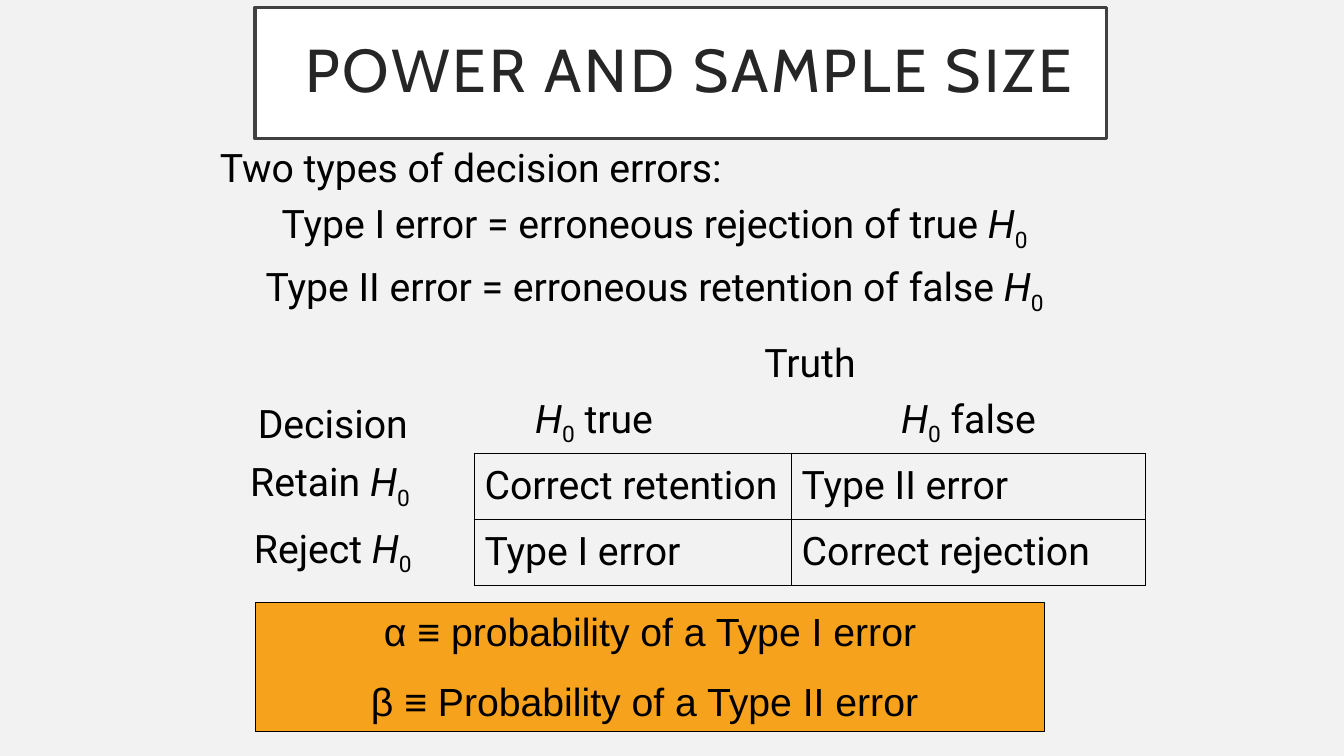
from dataclasses import dataclass
from itertools import product

from lxml.etree import SubElement
from pptx import Presentation
from pptx.dml.color import RGBColor
from pptx.enum.shapes import MSO_SHAPE
from pptx.enum.text import MSO_ANCHOR, PP_ALIGN
from pptx.oxml.ns import qn
from pptx.util import Emu, Pt

EMU_PER_PX = 9525
BLACK = RGBColor(0x00, 0x00, 0x00)
WHITE = RGBColor(0xFF, 0xFF, 0xFF)
BACKGROUND = RGBColor(0xF2, 0xF2, 0xF2)
TITLE_TEXT = RGBColor(0x26, 0x26, 0x26)
TITLE_BORDER = RGBColor(0x40, 0x40, 0x40)
ORANGE = RGBColor(0xF6, 0xA2, 0x1D)


@dataclass(frozen=True)
class Piece:
    text: str
    italic: bool = False
    subscript: bool = False


@dataclass(frozen=True)
class Entry:
    """One filled cell of the decision table."""
    row: int
    column: int
    pieces: tuple[Piece, ...]
    align: PP_ALIGN = PP_ALIGN.CENTER
    anchor: MSO_ANCHOR = MSO_ANCHOR.MIDDLE
    indent: int = 0


@dataclass(frozen=True)
class Panel:
    left: int
    top: int
    width: int
    height: int
    fill: RGBColor
    border: RGBColor
    border_pt: float


H0 = (Piece("H", italic=True), Piece("0", subscript=True))
TITLE = Panel(243, 7, 811, 125, WHITE, TITLE_BORDER, 2.5)
PROBABILITIES = Panel(243, 574, 752, 123, ORANGE, BLACK, 0.75)
COLUMN_WIDTHS = (270, 302, 337)
ROW_HEIGHTS = (55, 55, 63, 63)
ENTRIES = (
    Entry(0, 1, (Piece("Truth"),), anchor=MSO_ANCHOR.BOTTOM),
    Entry(1, 0, (Piece("Decision"),), anchor=MSO_ANCHOR.BOTTOM),
    Entry(1, 1, (*H0, Piece(" true")), PP_ALIGN.LEFT, indent=48),
    Entry(1, 2, (*H0, Piece(" false"))),
    Entry(2, 0, (Piece("Retain "), H0[0], Piece("0 ", subscript=True))),
    Entry(2, 1, (Piece("Correct retention"),), PP_ALIGN.LEFT),
    Entry(2, 2, (Piece("Type II error"),), PP_ALIGN.LEFT),
    Entry(3, 0, (Piece("Reject "), *H0)),
    Entry(3, 1, (Piece("Type I error"),), PP_ALIGN.LEFT),
    Entry(3, 2, (Piece("Correct rejection"),), PP_ALIGN.LEFT),
)


def px(length: int) -> Emu:
    return Emu(length * EMU_PER_PX)


def write(paragraph, *pieces: Piece, font: str = "Roboto", size: float = 28,
          color: RGBColor = BLACK, align: PP_ALIGN = PP_ALIGN.LEFT,
          before: float = 0, line_spacing: float = 1.0, indent: int = 0,
          tracking: float = 0) -> None:
    paragraph.alignment = align
    paragraph.space_before = Pt(before)
    paragraph.line_spacing = line_spacing
    if indent:
        properties = paragraph._p.get_or_add_pPr()
        properties.set("marL", str(px(indent)))
        properties.set("indent", "0")
    for piece in pieces:
        run = paragraph.add_run()
        run.text = piece.text
        run.font.name = font
        run.font.size = Pt(size)
        run.font.color.rgb = color
        run.font.italic = piece.italic
        if piece.subscript:
            run._r.get_or_add_rPr().set("baseline", "-25000")
        if tracking:
            run._r.get_or_add_rPr().set("spc", str(round(tracking * 100)))


def add_panel(slide, panel: Panel, anchor: MSO_ANCHOR):
    """Draw a bordered rectangle and return its text frame."""
    shape = slide.shapes.add_shape(MSO_SHAPE.RECTANGLE, px(panel.left), px(panel.top),
                                   px(panel.width), px(panel.height))
    shape.shadow.inherit = False
    shape.fill.solid()
    shape.fill.fore_color.rgb = panel.fill
    shape.line.color.rgb = panel.border
    shape.line.width = Pt(panel.border_pt)
    shape.text_frame.word_wrap = True
    shape.text_frame.vertical_anchor = anchor
    return shape.text_frame


def set_borders(cell, visible: dict[str, bool]) -> None:
    properties = cell._tc.get_or_add_tcPr()
    for side, shown in visible.items():
        line = SubElement(properties, qn(f"a:ln{side}"), w=str(Pt(1)))
        if shown:
            fill = SubElement(line, qn("a:solidFill"))
            SubElement(fill, qn("a:srgbClr"), val=str(BLACK))
        else:
            SubElement(line, qn("a:noFill"))


def add_title(slide) -> None:
    frame = add_panel(slide, TITLE, MSO_ANCHOR.MIDDLE)
    frame.margin_left = frame.margin_right = px(19)
    frame.margin_top = frame.margin_bottom = px(19)
    write(frame.paragraphs[0], Piece(" POWER AND SAMPLE SIZE"), font="Cabin", size=43.2,
          color=TITLE_TEXT, align=PP_ALIGN.CENTER, line_spacing=0.9, tracking=2)


def add_decision_table(slide) -> None:
    table = slide.shapes.add_table(len(ROW_HEIGHTS), len(COLUMN_WIDTHS), px(182), px(318),
                                   px(sum(COLUMN_WIDTHS)), px(sum(ROW_HEIGHTS))).table
    table.first_row = table.horz_banding = False
    for column, width in zip(table.columns, COLUMN_WIDTHS):
        column.width = px(width)
    for row, height in zip(table.rows, ROW_HEIGHTS):
        row.height = px(height)
    for row, column in product(range(len(ROW_HEIGHTS)), range(len(COLUMN_WIDTHS))):
        cell = table.cell(row, column)
        outcome_row, outcome_column = row >= 2, column >= 1
        set_borders(cell, {"L": outcome_row and outcome_column,
                           "R": outcome_row,
                           "T": outcome_row and outcome_column,
                           "B": row >= 1 and outcome_column})
        cell.fill.background()
    table.cell(0, 1).merge(table.cell(0, 2))
    for entry in ENTRIES:
        cell = table.cell(entry.row, entry.column)
        cell.vertical_anchor = entry.anchor
        write(cell.text_frame.paragraphs[0], *entry.pieces, align=entry.align,
              indent=entry.indent)


def add_probabilities(slide) -> None:
    frame = add_panel(slide, PROBABILITIES, MSO_ANCHOR.TOP)
    write(frame.paragraphs[0], Piece("α ≡ probability of a Type I error"),
          font="Arial", align=PP_ALIGN.CENTER)
    write(frame.add_paragraph(), Piece("β ≡ Probability of a Type II error "),
          font="Arial", align=PP_ALIGN.CENTER, before=16)


def add_error_types(slide) -> None:
    frame = slide.shapes.add_textbox(px(200), px(132), px(847), px(162)).text_frame
    frame.word_wrap = True
    write(frame.paragraphs[0], Piece("Two types of decision errors:"))
    for definition in ("Type I error = erroneous rejection of true ",
                       "Type II error = erroneous retention of false "):
        write(frame.add_paragraph(), Piece(definition), *H0,
              align=PP_ALIGN.CENTER, before=6.5)


def main() -> None:
    presentation = Presentation()
    presentation.slide_width, presentation.slide_height = px(1280), px(720)
    slide = presentation.slides.add_slide(presentation.slide_layouts[6])
    slide.background.fill.solid()
    slide.background.fill.fore_color.rgb = BACKGROUND
    add_title(slide)
    add_decision_table(slide)
    add_probabilities(slide)
    add_error_types(slide)
    presentation.save("out.pptx")


if __name__ == "__main__":
    main()
